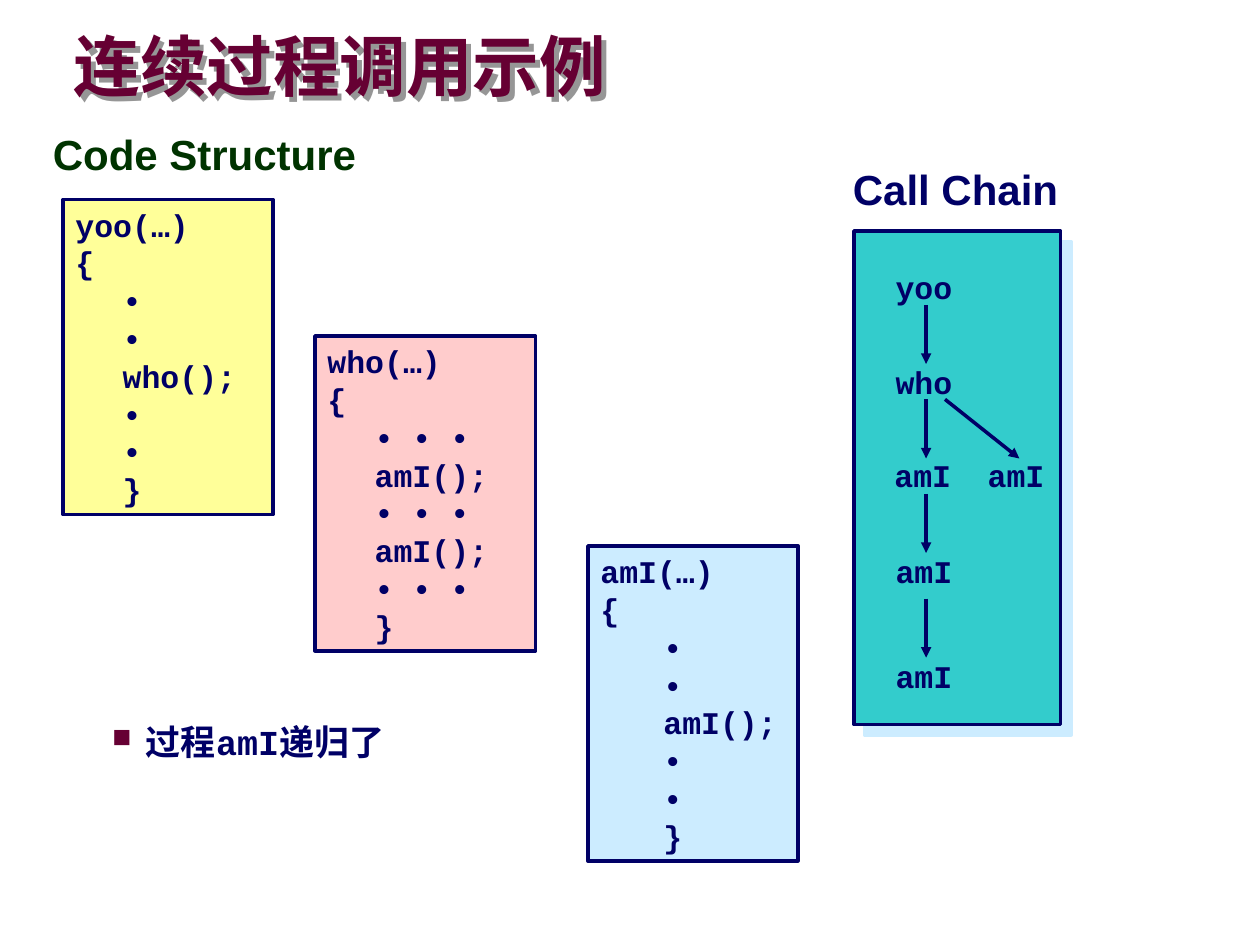
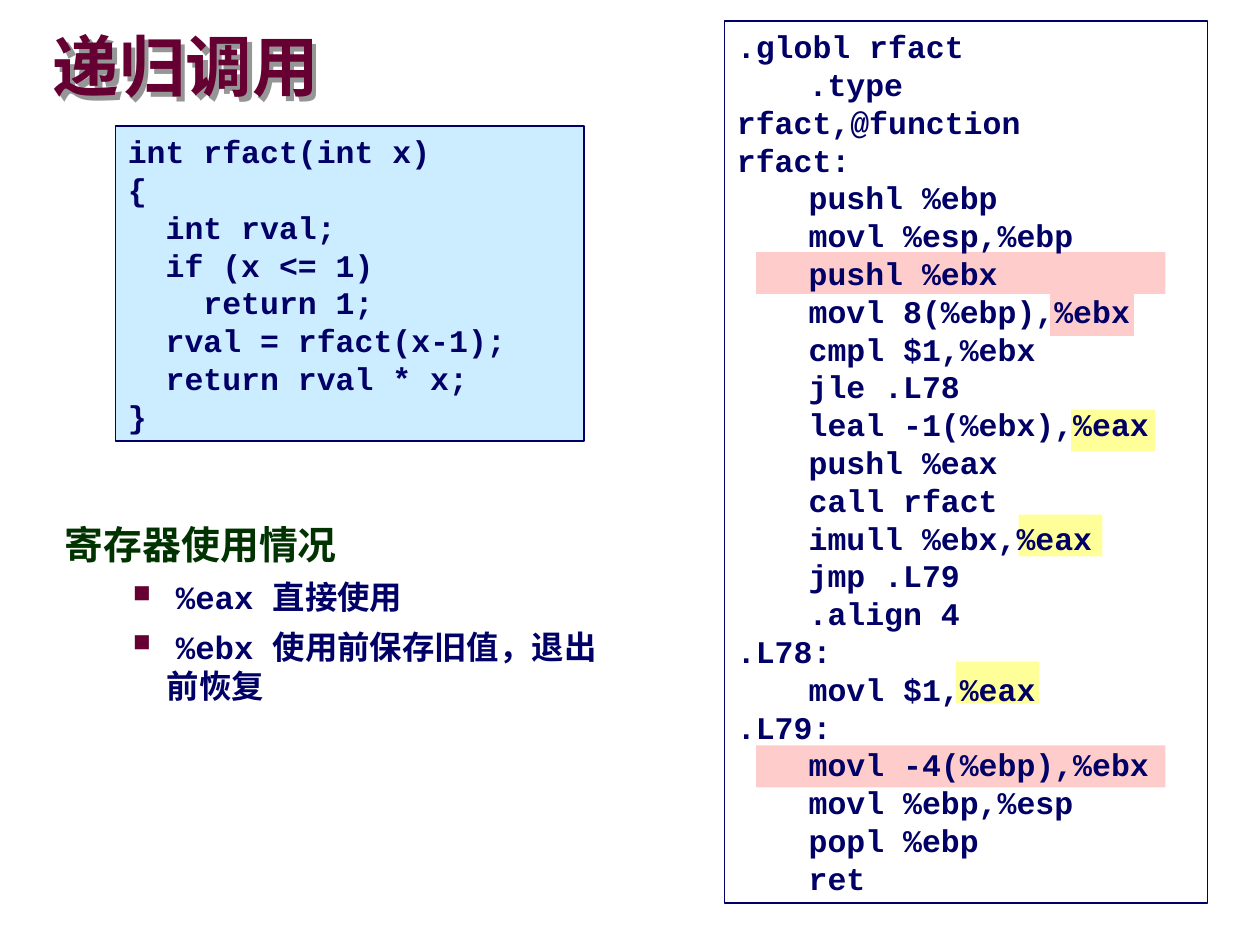
import lxml.etree
import pptx
import pptx.dml.color
import pptx.enum.shapes
import pptx.enum.text
import pptx.oxml.ns
import pptx.util

Pt = pptx.util.Pt
RGB = pptx.dml.color.RGBColor
ALIGN = pptx.enum.text.PP_ALIGN
ANCHOR = pptx.enum.text.MSO_ANCHOR
RECT = pptx.enum.shapes.MSO_SHAPE.RECTANGLE

NAVY = RGB(0x00, 0x00, 0x66)
MAROON = RGB(0x66, 0x00, 0x33)
GREEN = RGB(0x00, 0x33, 0x00)
GRAY = RGB(0x96, 0x96, 0x96)
YELLOW = RGB(0xFF, 0xFF, 0x99)
PINK = RGB(0xFF, 0xCC, 0xCC)
PALE_BLUE = RGB(0xCC, 0xEC, 0xFF)
TEAL = RGB(0x33, 0xCC, 0xCC)

SANS, MONO = "Arial", "Courier New"
CODE = {"name": MONO, "size": Pt(18), "bold": True}
TITLE = {"name": SANS, "size": Pt(38), "bold": True}
HEADING = {"name": SANS, "size": Pt(24), "bold": True}
CODE_LINE = {"line_spacing": Pt(21.6)}
CODE_INSET = 7.2

YOO = ["yoo(…)", "{", "•", "•", "who();", "•", "•", "}"]
WHO = ["who(…)", "{", "• • •", "amI();", "• • •", "amI();", "• • •", "}"]
AMI = ["amI(…)", "{", "•", "•", "amI();", "•", "•", "}"]
RFACT_C = """int rfact(int x)
{
  int rval;
  if (x <= 1)
    return 1;
  rval = rfact(x-1);
  return rval * x;
}""".split("\n")
RFACT_ASM = [
    ".globl rfact", "\t.type\t rfact,@function", "rfact:", "\tpushl %ebp",
    "\tmovl %esp,%ebp", "\tpushl %ebx", "\tmovl 8(%ebp),%ebx",
    "\tcmpl $1,%ebx", "\tjle .L78", "\tleal -1(%ebx),%eax", "\tpushl %eax",
    "\tcall rfact", "\timull %ebx,%eax", "\tjmp .L79", "\t.align 4", ".L78:",
    "\tmovl $1,%eax", ".L79:", "\tmovl -4(%ebp),%ebx", "\tmovl %ebp,%esp",
    "\tpopl %ebp", "\tret",
]
ASM_TABS = [41, 85.7, 144, 216]
HIGHLIGHTS = [
    (198, 222, 48, YELLOW), (168, 282, 48, YELLOW), (132, 366, 48, YELLOW),
    (186, 156, 48, PINK), (18, 414, 234, PINK), (18, 132, 234, PINK),
]
CHAIN_LABELS = [
    (16.7, 17.8, "yoo"), (16.7, 71.8, "who"), (16, 125, "amI"),
    (16.7, 179.8, "amI"), (16.7, 240.2, "amI"), (69.3, 125, "amI"),
]
CHAIN_ARROWS = [
    (41.2, 42.2, 0), (41.2, 96.2, 0), (41.2, 150.2, 0),
    (41.2, 210, 0), (52, 96.2, 42.5),
]
ARROW_DROP = 33.8


def apply(target, values):
    for name, value in values.items():
        setattr(target, name, value)


def sub(parent, tag, **attrs):
    el = lxml.etree.SubElement(parent, pptx.oxml.ns.qn(tag))
    for name, value in attrs.items():
        el.set(name, str(value))
    return el


def add_shadow(sp, color, dist):
    effects = sub(sp._element.spPr, "a:effectLst")
    shadow = sub(effects, "a:outerShdw", blurRad=0, dist=Pt(dist),
                 dir=45 * 60000, algn="ctr", rotWithShape=0)
    sub(shadow, "a:srgbClr", val=color)


def add_run(p, text, font, color):
    r = p.add_run()
    r.text = text
    apply(r.font, font)
    r.font.color.rgb = color


def add_rect(s, box, fill=None, line=None):
    sp = s.shapes.add_shape(RECT, *map(Pt, box))
    if fill is None:
        sp.fill.background()
    else:
        sp.fill.solid()
        sp.fill.fore_color.rgb = fill
    if line is None:
        sp.line.fill.background()
    else:
        sp.line.color.rgb = NAVY
        sp.line.width = Pt(line)
    return sp


def add_text(s, box, text, font, color, para=None, wrap=True):
    tf = s.shapes.add_textbox(*map(Pt, box)).text_frame
    tf.word_wrap = wrap
    p = tf.paragraphs[0]
    apply(p, para or {})
    if text:
        add_run(p, text, font, color)
    return tf


def set_title(s, box, text):
    sp = s.shapes.title
    apply(sp, dict(zip(("left", "top", "width", "height"), map(Pt, box))))
    tf = sp.text_frame
    apply(tf, {"margin_left": 0, "margin_top": 0, "margin_right": 0,
               "margin_bottom": 0, "vertical_anchor": ANCHOR.MIDDLE,
               "word_wrap": True, "auto_size": pptx.enum.text.MSO_AUTO_SIZE.NONE})
    p = tf.paragraphs[0]
    apply(p, {"alignment": ALIGN.LEFT, "line_spacing": 0.87})
    add_run(p, text, TITLE, MAROON)
    add_shadow(sp, GRAY, 4)


def make_bullet(p):
    pPr = p._p.get_or_add_pPr()
    pPr.set("marL", str(Pt(58.3)))
    pPr.set("indent", str(Pt(-19.4)))
    sub(sub(pPr, "a:buClr"), "a:srgbClr", val=MAROON)
    sub(pPr, "a:buSzPct", val=75000)
    sub(pPr, "a:buChar", char="■")


def code_box(s, box, lines, line, fill=None, indent=0, tabs=()):
    sp = add_rect(s, box, fill, line)
    sp.shadow.inherit = False
    tf = sp.text_frame
    apply(tf, {"word_wrap": True, "vertical_anchor": ANCHOR.TOP})
    for i, text in enumerate(lines):
        p = tf.add_paragraph() if i else tf.paragraphs[0]
        pPr = p._p.get_or_add_pPr()
        if indent and i > 1:
            pPr.set("marL", str(Pt(indent)))
        if tabs:
            tab_list = sub(pPr, "a:tabLst")
            for pos in tabs:
                sub(tab_list, "a:tab", pos=Pt(pos), algn="l")
        apply(p, {"alignment": ALIGN.LEFT, **CODE_LINE})
        add_run(p, text, CODE, NAVY)


def add_arrow(s, x1, y1, x2, y2):
    cx = s.shapes.add_connector(pptx.enum.shapes.MSO_CONNECTOR.STRAIGHT,
                                *map(Pt, (x1, y1, x2, y2)))
    cx.line.color.rgb = NAVY
    cx.line.width = Pt(2)
    sub(cx.line._get_or_add_ln(), "a:tailEnd", type="triangle")
    sub(cx._element.spPr, "a:effectLst")


def call_chain(s, box):
    x, y, w, h = box
    add_shadow(add_rect(s, box, TEAL, 2), PALE_BLUE, 8.5)
    add_text(s, (x - 8, y - 42, w + 14, 36), "Call Chain", HEADING, NAVY,
             {"alignment": ALIGN.CENTER}, wrap=False)
    for dx, dy, name in CHAIN_LABELS:
        add_text(s, (x + dx, y + dy, 47.5, 28.8), name, CODE, NAVY, CODE_LINE)
    for dx, dy, run in CHAIN_ARROWS:
        add_arrow(s, x + dx, y + dy, x + dx + run, y + dy + ARROW_DROP)


def assembly_listing(s, box):
    x, y = box[:2]
    for dx, dy, w, color in HIGHLIGHTS:
        add_rect(s, (x + dx, y + dy, w, 24), color).shadow.inherit = False
    code_box(s, box, RFACT_ASM, 1, tabs=ASM_TABS)


def register_notes(s, box):
    tf = add_text(s, box, "寄存器使用情况", {**HEADING, "size": Pt(22.2)},
                  GREEN, {"line_spacing": 0.75})
    sans = {"name": SANS, "size": Pt(18.5), "bold": True}
    for register, note in (("%eax ", "直接使用"),
                           ("%ebx ", "使用前保存旧值，退出前恢复")):
        p = tf.add_paragraph()
        make_bullet(p)
        p.space_before = Pt(6.2)
        add_run(p, " ", sans, NAVY)
        add_run(p, register, {**sans, "name": MONO}, NAVY)
        add_run(p, note, sans, NAVY)


def call_chain_slide(s):
    set_title(s, (42, 18, 493, 45), "连续过程调用示例")
    add_text(s, (23 + CODE_INSET, 72, 218, 40), "Code Structure", HEADING,
             GREEN, {"line_spacing": 0.95}).margin_left = 0
    code_box(s, (36, 114, 120, 180), YOO, 2, YELLOW, 27)
    code_box(s, (180, 192, 126, 180), WHO, 2, PINK, 27)
    code_box(s, (336, 312, 120, 180), AMI, 2, PALE_BLUE, 36)
    call_chain(s, (488, 132, 118, 282))
    p = add_text(s, (18, 408, 300, 42), "", CODE, NAVY).paragraphs[0]
    make_bullet(p)
    add_run(p, "过程amI递归了", {**CODE, "size": Pt(20)}, NAVY)


def recursion_slide(s):
    assembly_listing(s, (414, 12, 276, 504))
    code_box(s, (66, 72, 268, 180), RFACT_C, 1, PALE_BLUE)
    set_title(s, (30, 18, 420, 45), "递归调用")
    register_notes(s, (30, 300, 330, 108))


def main():
    prs = pptx.Presentation()
    prs.slide_width, prs.slide_height = Pt(720), Pt(540)
    for build in (call_chain_slide, recursion_slide):
        build(prs.slides.add_slide(prs.slide_layouts[5]))
    prs.save("out.pptx")


if __name__ == "__main__":
    main()
